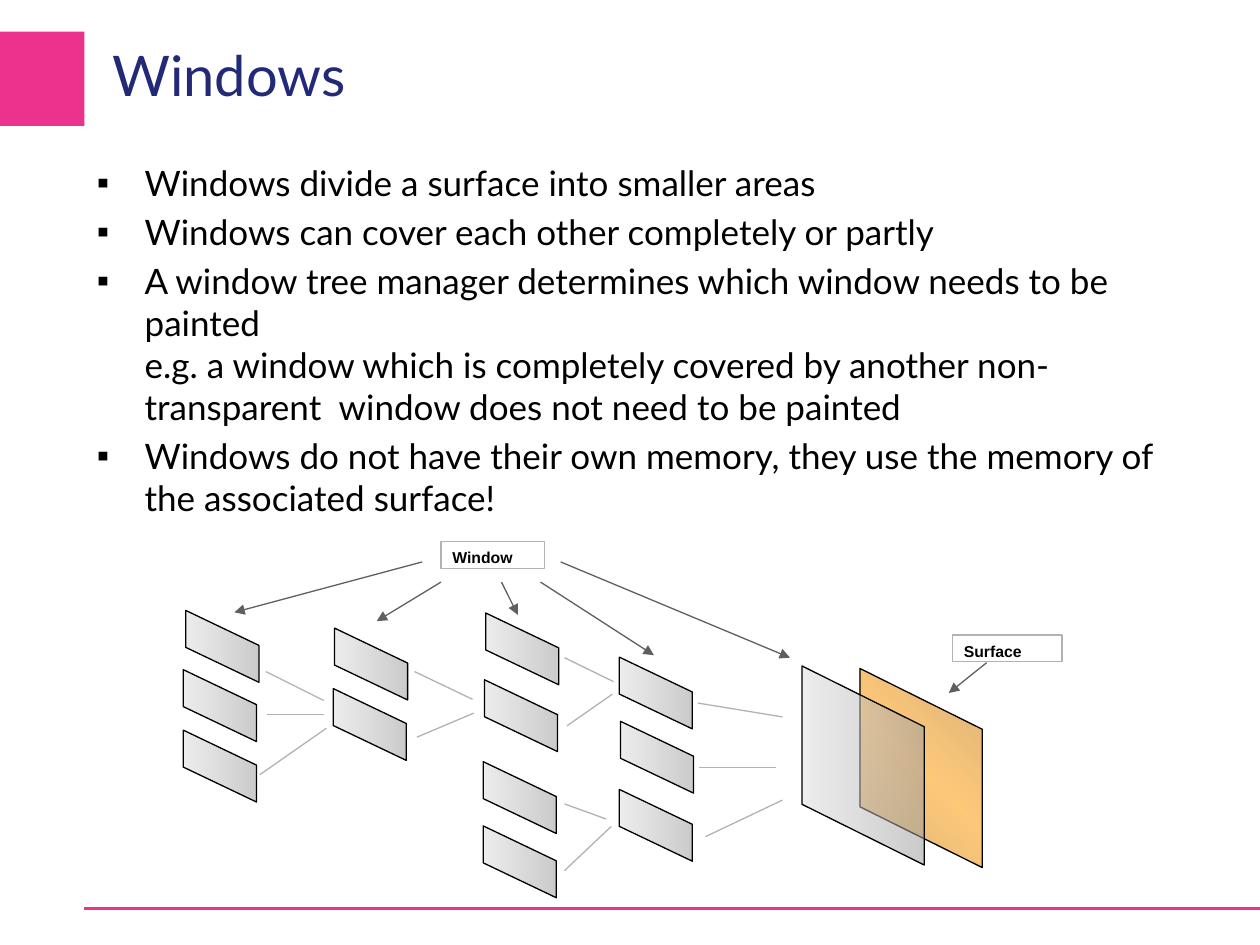
from lxml.etree import SubElement
from pptx import Presentation
from pptx.dml.color import RGBColor
from pptx.enum.shapes import MSO_CONNECTOR, MSO_SHAPE
from pptx.enum.text import MSO_ANCHOR, PP_ALIGN
from pptx.oxml.ns import qn
from pptx.util import Inches, Pt

RECT = MSO_SHAPE.RECTANGLE
SLANT = MSO_SHAPE.PARALLELOGRAM
LINE = MSO_CONNECTOR.STRAIGHT
LEFT = PP_ALIGN.LEFT
TOP = MSO_ANCHOR.TOP
MIDDLE = MSO_ANCHOR.MIDDLE

COLORS = {
    "pink": "EB328C", "navy": "222A78", "black": "000000", "white": "FFFFFF",
    "link": "B2B2B2", "arrow": "5F5F5F", "light": "DDDDDD", "dark": "9E9E9E",
    "brown": "B66D00", "orange": "FF9900",
}


def color(name):
    return RGBColor.from_string(COLORS[name])


class Deck:
    head = "Lato"
    small = "Arial"
    thin = 0.75
    alpha = 52

    def __init__(self, wide, high):
        self.file = Presentation()
        self.file.slide_width = Inches(wide)
        self.file.slide_height = Inches(high)
        self.slide = self.file.slides.add_slide(self.file.slide_layouts[6])

    def shape(self, kind, box, edge=None):
        item = self.slide.shapes.add_shape(kind, *map(Inches, box))
        item.shadow.inherit = False
        if edge:
            item.line.color.rgb = color(edge)
            item.line.width = Pt(self.thin)
        else:
            item.line.fill.background()
        return item

    def rect(self, box, fill, edge=None):
        item = self.shape(RECT, box, edge)
        item.fill.solid()
        item.fill.fore_color.rgb = color(fill)
        return item

    def panel(self, box, skew, names, angle):
        item = self.shape(SLANT, box, "black")
        item.rotation = 270
        item.adjustments[0] = skew
        item.fill.gradient()
        item.fill.gradient_angle = 360 - angle
        stops = item.element.spPr.find(qn("a:gradFill")).find(qn("a:gsLst"))
        stops.clear()
        for i, name in enumerate(names):
            place = 100000 * i // (len(names) - 1)
            stop = SubElement(stops, qn("a:gs"), pos=str(place))
            tone = SubElement(stop, qn("a:srgbClr"), val=COLORS[name])
            SubElement(tone, qn("a:alpha"), val=str(self.alpha * 1000))

    def line(self, ends, name, width=thin, arrow=False):
        item = self.slide.shapes.add_connector(LINE, *map(Inches, ends))
        item.line.color.rgb = color(name)
        item.line.width = Pt(width)
        if arrow:
            stroke = item.element.spPr.find(qn("a:ln"))
            SubElement(stroke, qn("a:tailEnd"), type="triangle")
        SubElement(item.element.spPr, qn("a:effectLst"))

    def text(self, item, words, font, size, name, bold=False, anchor=TOP):
        frame = item.text_frame
        frame.word_wrap = True
        frame.vertical_anchor = anchor
        frame.text = words
        for para in frame.paragraphs:
            para.alignment = LEFT
            for run in para.runs:
                run.font.name = font
                run.font.size = Pt(size)
                run.font.bold = bold
                run.font.color.rgb = color(name)
        return frame

    def title(self, box, words):
        item = self.slide.shapes.add_textbox(*map(Inches, box))
        frame = self.text(item, words, self.head, 32, "navy", anchor=MIDDLE)
        frame.margin_left = frame.margin_right = 0
        frame.margin_top = frame.margin_bottom = 0

    def bullets(self, box, lines):
        item = self.slide.shapes.add_textbox(*map(Inches, box))
        frame = self.text(item, "\n".join(lines), self.head, 20, "black")
        for para in frame.paragraphs:
            para.space_before = Pt(4)
            props = para._p.get_or_add_pPr()
            props.set("marL", str(Inches(0.38)))
            props.set("indent", str(-Inches(0.38)))
            SubElement(props, qn("a:buFont"), typeface=self.small)
            SubElement(props, qn("a:buChar"), char="▪")

    def label(self, box, words):
        item = self.rect(box, "white", "link")
        frame = self.text(item, words, self.small, 9, "black", bold=True)
        frame.margin_left = frame.margin_right = Inches(0.09)
        frame.margin_top = frame.margin_bottom = Inches(0.05)


POINTS = [
    "Windows divide a surface into smaller areas",
    "Windows can cover each other completely or partly",
    "A window tree manager determines which window needs to be painted \v"
    "e.g. a window which is completely covered by another non-transparent  "
    "window does not need to be painted",
    "Windows do not have their own memory, they use the memory of the "
    "associated surface!",
]
PANES = [
    (1.48, 4.84), (1.46, 5.31), (1.46, 5.79),
    (2.66, 4.98), (2.65, 5.46),
    (3.86, 4.86), (3.85, 5.39), (3.84, 6.04), (3.84, 6.55),
    (4.92, 5.21), (4.93, 5.72), (4.92, 6.26),
]
LINKS = [
    (2.11, 5.33, 2.57, 5.56), (2.12, 5.67, 2.57, 5.67), (2.06, 6.15, 2.59, 5.78),
    (3.29, 5.33, 3.75, 5.55), (3.31, 5.85, 3.76, 5.66),
    (4.48, 5.22, 4.87, 5.41), (4.5, 5.76, 4.86, 5.51),
    (4.48, 6.38, 4.81, 6.5), (4.48, 6.91, 4.85, 6.56),
    (5.54, 5.58, 6.21, 5.69), (5.55, 6.09, 6.16, 6.09), (5.6, 6.64, 6.21, 6.35),
]
ARROWS = [
    (3.35, 4.46, 1.86, 4.86), (3.5, 4.62, 2.99, 4.93), (3.98, 4.62, 4.11, 4.88),
    (4.29, 4.62, 5.19, 5.2), (4.45, 4.46, 6.27, 5.22), (7.83, 5.26, 7.53, 5.5),
]
GRAY = ("light", "dark")
GOLD = ("brown", "orange", "brown")


def main():
    deck = Deck(10, 7.5)
    deck.rect((0, 0.25, 0.67, 0.75), "pink")
    deck.line((0.67, 7.21, 10, 7.21), "pink", 2)
    deck.bullets((0.67, 1.23, 8.66, 5.75), POINTS)
    deck.title((0.89, 0.16, 6.79, 0.85), "Windows")
    deck.panel((6.52, 5.61, 1.58, 0.97), 0.497, GOLD, 45)
    for left, top in PANES:
        deck.panel((left, top, 0.57, 0.58), 0.486, GRAY, 90)
    deck.panel((6.06, 5.59, 1.58, 0.97), 0.497, GRAY, 90)
    for ends in LINKS:
        deck.line(ends, "link")
    for ends in ARROWS:
        deck.line(ends, "arrow", arrow=True)
    deck.label((3.5, 4.3, 0.82, 0.21), "Window")
    deck.label((7.56, 5.04, 0.87, 0.21), "Surface")
    deck.file.save("out.pptx")


if __name__ == "__main__":
    main()
